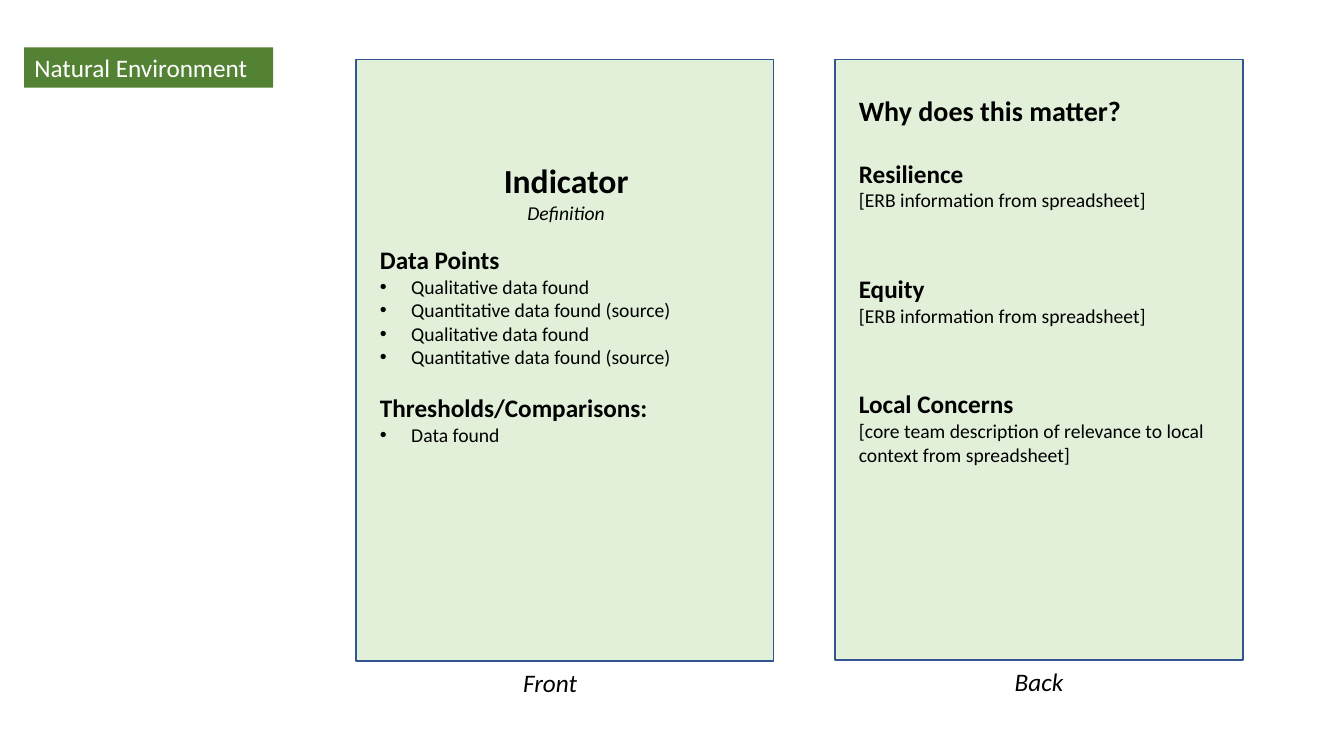
from lxml.etree import SubElement
from pptx import Presentation
from pptx.dml.color import RGBColor
from pptx.enum.shapes import MSO_SHAPE
from pptx.enum.text import MSO_ANCHOR, MSO_AUTO_SIZE, PP_ALIGN
from pptx.oxml.ns import qn
from pptx.util import Inches, Pt

COLORS = {"card": "E2F0D9", "outline": "325491", "label": "548235",
          "text": "000000", "label_text": "FFFFFF"}
FONT = "Calibri"
BULLET_INDENT = Inches(0.31)
STYLES = {
    "indicator": dict(size=24, bold=True, align=PP_ALIGN.CENTER),
    "definition": dict(size=14, italic=True, align=PP_ALIGN.CENTER),
    "question": dict(size=20, bold=True),
    "heading": dict(size=18, bold=True),
    "body": dict(size=14),
    "bullet": dict(size=14, bullet=True),
    "caption": dict(size=18, italic=True, align=PP_ALIGN.CENTER),
    "label": dict(size=18, color="label_text"),
}
FRONT_LINES = [
    ("indicator", "Indicator", 0),
    ("definition", "Definition", 0),
    ("heading", "Data Points", 14.6),
    ("bullet", "Qualitative data found", 0),
    ("bullet", "Quantitative data found (source)", 0),
    ("bullet", "Qualitative data found", 0),
    ("bullet", "Quantitative data found (source)", 0),
    ("heading", "Thresholds/Comparisons:", 17.1),
    ("bullet", "Data found", 0),
]
BACK_LINES = [
    ("question", "Why does this matter?", 0),
    ("heading", "Resilience", 22),
    ("body", "[ERB information from spreadsheet]", 0),
    ("heading", "Equity", 44),
    ("body", "[ERB information from spreadsheet]", 0),
    ("heading", "Local Concerns", 44),
    ("body", "[core team description of relevance to local context from spreadsheet]", 0),
]


def color(name):
    return RGBColor.from_string(COLORS[name])


def add_bullet(para):
    properties = para._p.get_or_add_pPr()
    properties.set("marL", str(BULLET_INDENT))
    properties.set("indent", str(-BULLET_INDENT))
    SubElement(properties, qn("a:buFont")).set("typeface", "Arial")
    SubElement(properties, qn("a:buChar")).set("char", "•")


def write_lines(frame, lines):
    frame.word_wrap = True
    for index, (style_name, text, space_before) in enumerate(lines):
        style = STYLES[style_name]
        para = frame.add_paragraph() if index else frame.paragraphs[0]
        para.alignment = style.get("align", PP_ALIGN.LEFT)
        if space_before:
            para.space_before = Pt(space_before)
        if style.get("bullet"):
            add_bullet(para)
        span = para.add_run()
        span.text = text
        span.font.name = FONT
        span.font.size = Pt(style["size"])
        span.font.bold = style.get("bold", False)
        span.font.italic = style.get("italic", False)
        span.font.color.rgb = color(style.get("color", "text"))


def add_text(page, left, top, width, height, lines):
    box = page.shapes.add_textbox(*map(Inches, (left, top, width, height)))
    write_lines(box.text_frame, lines)
    box.text_frame.auto_size = MSO_AUTO_SIZE.SHAPE_TO_FIT_TEXT


def add_card(page, left, top, width, height, text_top, lines, caption, caption_left):
    card = page.shapes.add_shape(MSO_SHAPE.RECTANGLE,
                                 *map(Inches, (left, top, width, height)))
    card.shadow.inherit = False
    card.fill.solid()
    card.fill.fore_color.rgb = color("card")
    card.line.color.rgb = color("outline")
    card.line.width = Pt(1)
    add_text(page, left + 0.14, top + text_top, width - 0.25, 3.6, lines)
    add_text(page, left + caption_left, top + height + 0.01, 2.15, 0.4,
             [("caption", caption, 0)])


def add_label(page, left, top, width, height, text):
    label = page.shapes.title
    label.left, label.top, label.width, label.height = map(
        Inches, (left, top, width, height))
    label.fill.solid()
    label.fill.fore_color.rgb = color("label")
    write_lines(label.text_frame, [("label", text, 0)])
    label.text_frame.auto_size = MSO_AUTO_SIZE.NONE
    label.text_frame.vertical_anchor = MSO_ANCHOR.TOP


def main():
    deck = Presentation()
    deck.slide_width, deck.slide_height = Inches(13.33), Inches(7.5)
    page = deck.slides.add_slide(deck.slide_layouts[5])
    add_label(page, 0.24, 0.47, 2.47, 0.4, "Natural Environment")
    add_card(page, 3.53, 0.59, 4.14, 5.97, 0.95, FRONT_LINES, "Front", 0.85)
    add_card(page, 8.28, 0.59, 4.05, 5.96, 0.29, BACK_LINES, "Back", 0.95)
    deck.save("out.pptx")


if __name__ == "__main__":
    main()
